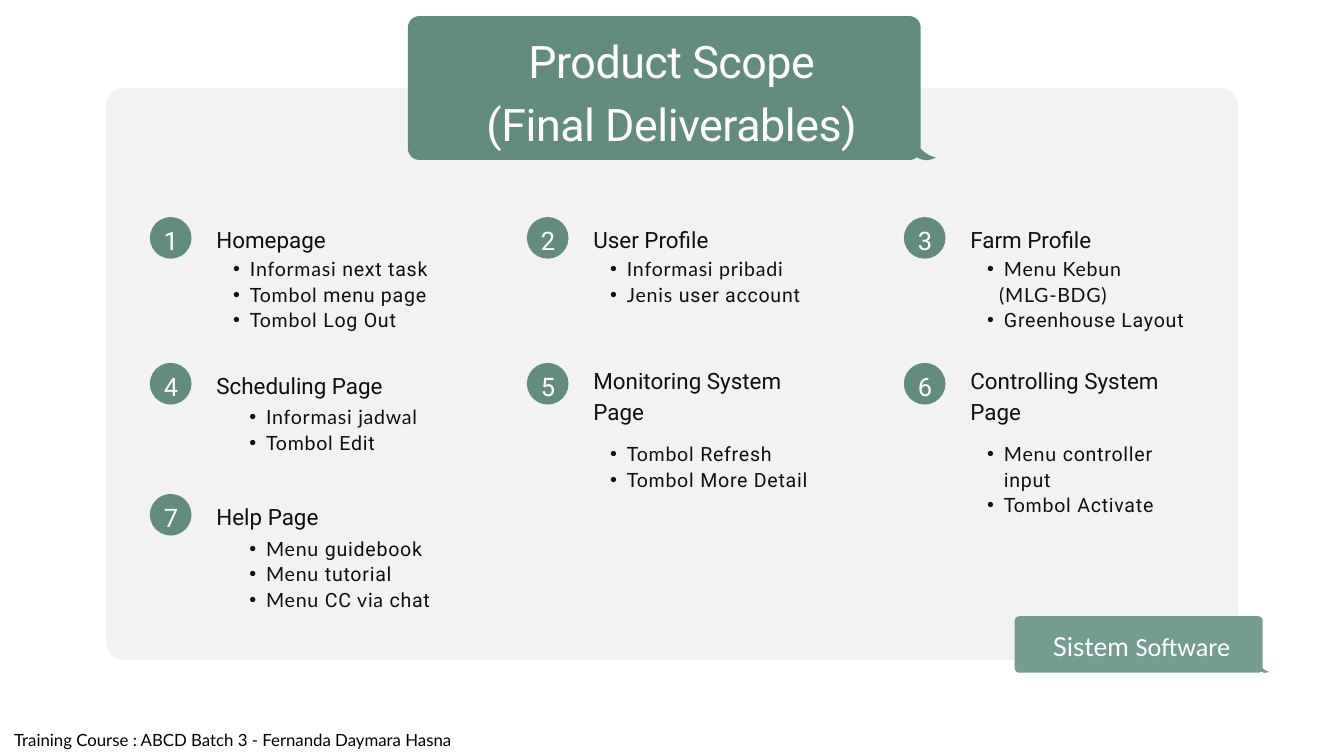
"""Build the product scope slide with seven numbered deliverables."""
from lxml.etree import SubElement
from pptx import Presentation
from pptx.dml.color import RGBColor
from pptx.enum.shapes import MSO_SHAPE
from pptx.enum.text import MSO_AUTO_SIZE, PP_ALIGN
from pptx.oxml.ns import qn
from pptx.util import Inches, Pt

ROUND, OVAL = MSO_SHAPE.ROUNDED_RECTANGLE, MSO_SHAPE.OVAL
GROW, LEFT, MID = MSO_AUTO_SIZE.SHAPE_TO_FIT_TEXT, PP_ALIGN.LEFT, PP_ALIGN.CENTER
GREEN, SAGE, INK, WHITE = "638C80", "749D91", "100F0D", "FFFFFF"
WIDE, HIGH = 20, 11.25

COL0, STEP, DOT = 2.23, 5.61, 0.62
ROWS = (3.23, 5.4, 7.35)
TITLE = ["|Product Scope", "|(Final Deliverables)"]
TAG = ["Sistem |Software"]
FOOT = ["Training Course : ABCD Batch 3 - Fernanda Daymara Hasna"]

ITEMS = [
    ("Homepage", 1, (0.99, 0.57),
     ["-Informasi |next task", "-Tombol |menu page", "-Tombol |Log Out"]),
    ("User Profile", 1, (0.99, 0.57),
     ["-Informasi pribadi", "-Jenis |user account"]),
    ("Farm Profile", 1, (0.99, 0.57),
     ["-Menu Kebun", "(MLG-BDG)", "-|Greenhouse Layout"]),
    ("Scheduling Page", 1, (1.23, 0.6),
     ["-Informasi jadwal", "-Tombol |Edit"]),
    ("Monitoring System Page", 2, (0.99, 1.15),
     ["-Tombol |Refresh", "-Tombol |More Detail"]),
    ("Controlling System Page", 2, (0.99, 1.15),
     ["-Menu |controller input", "-Tombol |Activate"]),
    ("Help Page", 1, (1.23, 0.61),
     ["-Menu |guidebook", "-Menu |tutorial", "-Menu |CC| via| chat"]),
]
LOOKS = {
    "title": dict(size=48, color=WHITE, lead=67.2, align=MID, gap=-50),
    "foot": dict(size=18, color="000000", lead=25.2, align=MID),
    "num": dict(size=27.3, color=WHITE, lead=38.2, align=MID),
    "head": dict(size=24, color=INK, lead=33.6, align=LEFT),
    "list": dict(size=21, color=INK, lead=27.3, align=LEFT, gap=80),
    "tag": dict(size=28, color=WHITE, lead=39.2, align=MID),
}


def paint(shape, color):
    shape.shadow.inherit = False
    shape.fill.solid()
    shape.fill.fore_color.rgb = RGBColor.from_string(color)
    shape.line.fill.background()
    return shape


def block(shapes, kind, box, color):
    return paint(shapes.add_shape(kind, *map(Inches, box)), color)


def write(par, text, look, font):
    run = par.add_run()
    run.text = text
    for key, val in dict(name=font, size=Pt(look["size"])).items():
        setattr(run.font, key, val)
    run.font.color.rgb = RGBColor.from_string(look["color"])
    if "gap" in look:
        run.font._element.set("spc", str(look["gap"]))


def indent(par, left, first, mark=""):
    props = par._p.get_or_add_pPr()
    props.set("marL", str(Inches(left)))
    props.set("indent", str(Inches(first)))
    if mark:
        SubElement(props, qn("a:buFont")).set("typeface", "Arial")
        SubElement(props, qn("a:buChar")).set("char", mark)


def label(shapes, box, lines, style, fonts=("Lato", "Roboto")):
    look = LOOKS[style]
    frame = shapes.add_textbox(*map(Inches, box)).text_frame
    form = dict(word_wrap=True, auto_size=GROW, margin_left=0, margin_right=0,
                margin_top=0, margin_bottom=0)
    for key, val in form.items():
        setattr(frame, key, val)
    for i, line in enumerate(lines):
        par = frame.add_paragraph() if i else frame.paragraphs[0]
        for key, val in dict(alignment=look["align"],
                             line_spacing=Pt(look["lead"])).items():
            setattr(par, key, val)
        if line.startswith("-"):
            par.level = 1
            indent(par, 0.5, -0.25, "•")
        elif style == "list":
            indent(par, 0.43, 0)
        for j, part in enumerate(line.removeprefix("-").split("|")):
            if part:
                write(par, part, look, fonts[j % 2])


def curve(a, b, c, d, n=10):
    return [tuple((1 - t) ** 3 * p + 3 * (1 - t) ** 2 * t * q
                  + 3 * (1 - t) * t * t * r + t ** 3 * s
                  for p, q, r, s in zip(a, b, c, d))
            for t in (k / n for k in range(n + 1))]


def bend(a, mid, b):
    pull = [tuple(p + 0.55 * (m - p) for p, m in zip(end, mid)) for end in (a, b)]
    return curve(a, *pull, b)


def bubble(shapes, box, rad, color):
    x, y, w, h = box
    r, b = x + w, y + h

    def tail(*pts):
        return curve(*((r + u * rad, b + v * rad) for u, v in pts))

    pts = [
        *bend((r, y + rad), (r, y), (r - rad, y)),
        *bend((x + rad, y), (x, y), (x, y + rad)),
        *bend((x, b - rad), (x, b), (x + rad, b)),
        *tail((-1, 0), (-0.76, 0), (-0.53, -0.06), (-0.35, -0.24)),
        *tail((-0.35, -0.24), (-0.06, -0.06), (0.59, 0.24), (1.35, -0.24)),
        *tail((1.35, -0.24), (1.35, -0.24), (0.7, -0.24), (0, -1)),
    ]
    path = [(Inches(u), Inches(v)) for u, v in pts]
    pen = shapes.build_freeform(*path[0])
    pen.add_line_segments(path[1:])
    paint(pen.convert_to_shape(), color)


def item(shapes, i, head, rows, shift, lines):
    x, y = COL0 + STEP * (i % 3), ROWS[i // 3]
    dx, dy = shift
    block(shapes, OVAL, (x, y, DOT, DOT), GREEN)
    label(shapes, (x + 0.11, y + 0.05, 0.41, 0.49), [f"|{i + 1}"], "num")
    top = y + (0.07 if rows == 1 else -0.01)
    label(shapes, (x + 0.99, top, 3.33, 0.45 * rows), ["|" + head], "head")
    label(shapes, (x + dx, y + dy, 3.33, 1.12), lines, "list")


def main():
    deck = Presentation()
    deck.slide_width, deck.slide_height = Inches(WIDE), Inches(HIGH)
    shapes = deck.slides.add_slide(deck.slide_layouts[6]).shapes
    panel = block(shapes, ROUND, (1.58, 1.31, WIDE - 2 * 1.58, 8.51), INK)
    panel.adjustments[0] = 0.03
    tint = panel.fill._xPr.find(".//" + qn("a:srgbClr"))
    SubElement(tint, qn("a:alpha")).set("val", "5000")
    bubble(shapes, (6.07, 0.24, 7.63, 2.14), 0.17, GREEN)
    label(shapes, (6.74, 0.37, 6.51, 1.8), TITLE, "title")
    label(shapes, (0, 10.81, 6.93, 0.33), FOOT, "foot")
    for i, data in enumerate(ITEMS):
        item(shapes.add_group_shape().shapes, i, *data)
    bubble(shapes, (15.1, 9.17, 3.69, 0.84), 0.07, SAGE)
    label(shapes, (15.47, 9.31, 3.03, 0.51), TAG, "tag", ("Lato", "Calibri"))
    deck.save("out.pptx")


if __name__ == "__main__":
    main()
